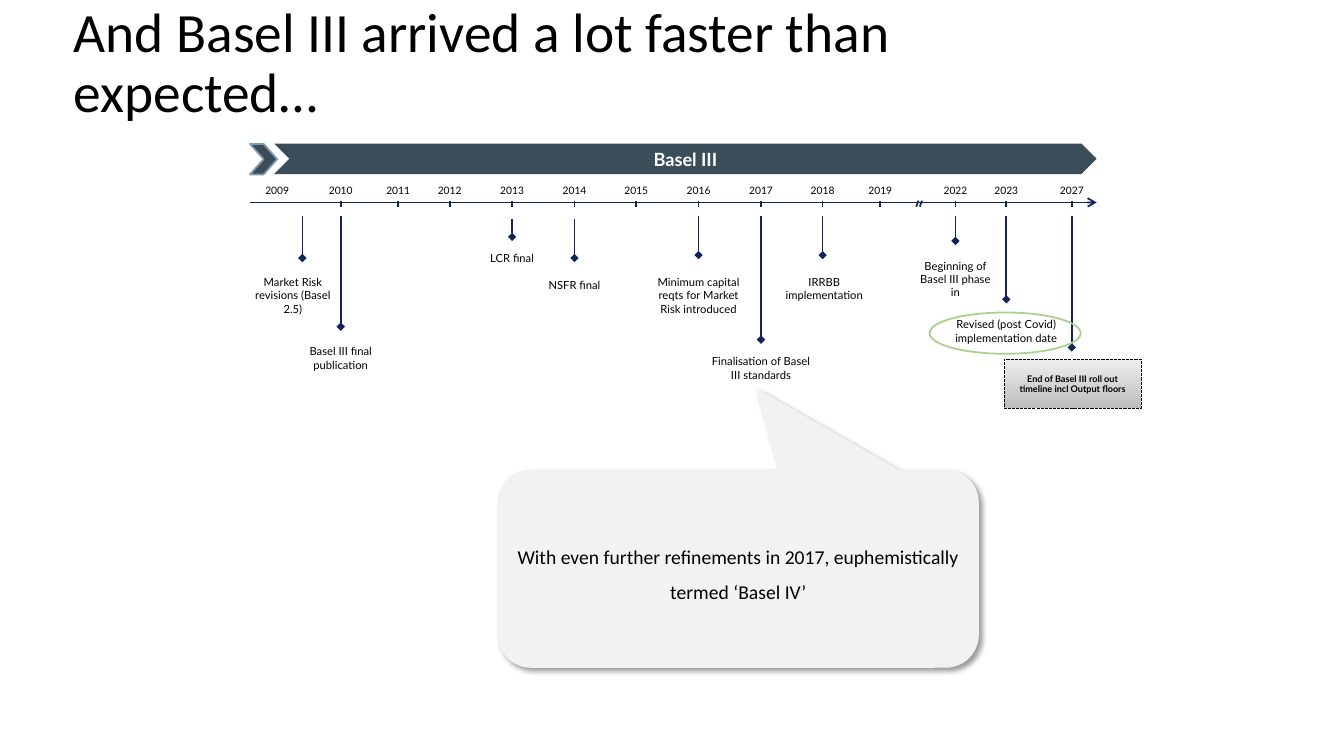
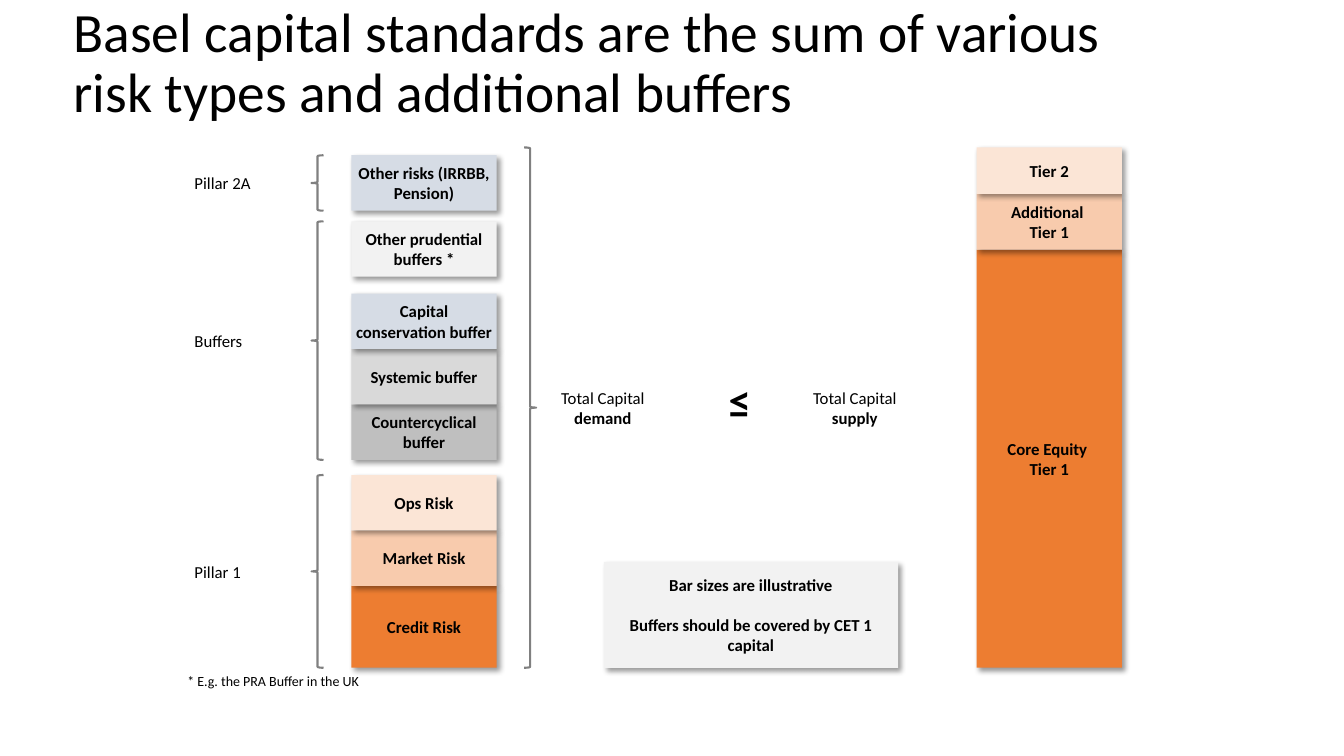
from dataclasses import dataclass
from typing import Optional, Sequence

from lxml import etree
from pptx import Presentation
from pptx.dml.color import RGBColor
from pptx.enum.dml import MSO_LINE
from pptx.enum.shapes import MSO_CONNECTOR, MSO_SHAPE
from pptx.enum.text import MSO_ANCHOR, MSO_AUTO_SIZE, PP_ALIGN
from pptx.oxml.ns import qn
from pptx.util import Pt

LEFT, CENTER = PP_ALIGN.LEFT, PP_ALIGN.CENTER
TOP, MIDDLE = MSO_ANCHOR.TOP, MSO_ANCHOR.MIDDLE
NO_AUTOFIT = MSO_AUTO_SIZE.NONE
STRAIGHT = MSO_CONNECTOR.STRAIGHT
DASH = MSO_LINE.SQUARE_DOT
RECTANGLE, CHEVRON, ELLIPSE = MSO_SHAPE.RECTANGLE, MSO_SHAPE.CHEVRON, MSO_SHAPE.OVAL
LEFT_BRACE, RIGHT_BRACE = MSO_SHAPE.LEFT_BRACE, MSO_SHAPE.RIGHT_BRACE
CALLOUT = MSO_SHAPE.ROUNDED_RECTANGULAR_CALLOUT

BLACK, WHITE, NAVY, SLATE = "000000", "FFFFFF", "13245A", "3B4D59"
STEEL, GREEN, GRAY = "7E99AA", "A9D18E", "808080"
PALE_GRAY, LIGHT_GRAY, MID_GRAY = "F2F2F2", "D9D9D9", "BFBFBF"
PALE_BLUE, ORANGE, PEACH, CREAM = "D6DCE5", "ED7D31", "F8CBAD", "FBE5D6"
BODY_FONT, LABEL_FONT = "Calibri", "Lato"

AXIS_Y = 144.6
YEAR_WIDTH = 39
ROW = 39.6
BLOCK_WIDTH = 103.8
FLOOR = 477
CEILING = 105.3


@dataclass(frozen=True)
class Area:
    left: float
    top: float
    width: float
    height: float


@dataclass(frozen=True)
class Span:
    text: str
    bold: bool = False


@dataclass(frozen=True)
class Style:
    size: float
    font: str = BODY_FONT
    color: str = BLACK
    align: PP_ALIGN = CENTER
    anchor: MSO_ANCHOR = MIDDLE
    margin_x: float = 7.2
    line_spacing: Optional[float] = None
    para_gap: float = 0


@dataclass(frozen=True)
class Event:
    text: str
    x: float
    stem_top: float
    stem_end: float
    label_top: float
    label_width: float
    label_shift: float = 0


@dataclass(frozen=True)
class Block:
    lines: tuple[str, ...]
    height: float
    fill: str
    gap_below: float = 0


@dataclass(frozen=True)
class Stack:
    name: str
    bottom: float
    blocks: tuple[Block, ...]


TITLE_AREA = Area(45.4, 12.2, 752.4, 67.7)
TITLE_STYLE = Style(39.6, align=LEFT, line_spacing=0.9)
YEAR_STYLE = Style(7.3, LABEL_FONT, anchor=TOP)
EVENT_STYLE = Style(8, LABEL_FONT, anchor=TOP, margin_x=2.9)
BANNER_STYLE = Style(13, LABEL_FONT, WHITE)
FINAL_STYLE = Style(6.5, LABEL_FONT)
CALLOUT_STYLE = Style(14, line_spacing=1.5)
BLOCK_STYLE = Style(12, margin_x=2.9)
NOTE_STYLE = Style(12, margin_x=2.9, para_gap=14.6)
TOTAL_STYLE = Style(12)
SIDE_STYLE = Style(12, align=LEFT)
SIGN_STYLE = Style(32, anchor=TOP)
FOOTNOTE_STYLE = Style(10, align=LEFT, anchor=TOP)

YEARS = {
    "2009": 198, "2010": 243.4, "2011": 284.4, "2012": 321.2, "2013": 365.8,
    "2014": 410.4, "2015": 454.5, "2016": 499, "2017": 543.6, "2018": 587.6,
    "2019": 628.8, "2022": 682.5, "2023": 718.8, "2027": 765.6,
}
EVENTS = [
    Event("Market Risk revisions (Basel 2.5)", 216, 154.3, 184.3, 193, 65.5, -6.8),
    Event("Basel III final publication", YEARS["2010"], 154.3, 233.3, 242.6, 69),
    Event("LCR final", YEARS["2013"], 156.2, 169.2, 175.7, 78.5),
    Event("NSFR final", YEARS["2014"], 156.2, 184.3, 195.1, 78.5),
    Event("Minimum capital reqts for Market Risk introduced",
          YEARS["2016"], 154.3, 182.2, 193, 78.5),
    Event("Finalisation of Basel III standards", YEARS["2017"], 154.3, 242.6, 249.8, 78.5),
    Event("IRRBB implementation", YEARS["2018"], 154.3, 182.2, 193, 85, 1.2),
    Event("Beginning of Basel III phase in", YEARS["2022"], 154.3, 172.1, 181.4, 64),
    Event("Revised (post Covid) implementation date", YEARS["2023"], 154.3, 213.8, 223.2, 85),
]
STACKS = [
    Stack("Pillar 1", FLOOR, (
        Block(("Credit Risk",), 58.5, ORANGE),
        Block(("Market Risk",), ROW, PEACH),
        Block(("Ops Risk",), ROW, CREAM),
    )),
    Stack("Buffers", 328.5, (
        Block(("Countercyclical buffer",), ROW, MID_GRAY),
        Block(("Systemic buffer",), ROW, LIGHT_GRAY),
        Block(("Capital conservation buffer",), ROW, PALE_BLUE),
        Block(("Other prudential buffers *",), ROW, PALE_GRAY, 12),
    )),
    Stack("Pillar 2A", 150.5, (
        Block(("Other risks (IRRBB, Pension)",), ROW, PALE_BLUE),
    )),
]
SUPPLY = Stack("Supply", FLOOR, (
    Block(("Core Equity ", "Tier 1"), 298.6, ORANGE),
    Block(("Additional ", "Tier 1"), 39.9, PEACH),
    Block(("Tier 2",), 33.2, CREAM),
))


def color(value: str) -> RGBColor:
    return RGBColor.from_string(value)


def points(area: Area) -> tuple:
    return Pt(area.left), Pt(area.top), Pt(area.width), Pt(area.height)


def write(shape, paras: Sequence[Sequence[Span]], style: Style) -> None:
    frame = shape.text_frame
    frame.word_wrap = True
    frame.auto_size = NO_AUTOFIT
    frame.vertical_anchor = style.anchor
    frame.margin_left = frame.margin_right = Pt(style.margin_x)
    frame.margin_top = frame.margin_bottom = Pt(3.6)
    for index, spans in enumerate(paras):
        para = frame.add_paragraph() if index else frame.paragraphs[0]
        para.alignment = style.align
        if style.line_spacing:
            para.line_spacing = style.line_spacing
        if index and style.para_gap:
            para.space_before = Pt(style.para_gap)
        for span in spans:
            run = para.add_run()
            run.text = span.text
            run.font.name = style.font
            run.font.size = Pt(style.size)
            run.font.bold = span.bold
            run.font.color.rgb = color(style.color)


def add_label(page, area: Area, spans: Sequence[Span], style: Style) -> None:
    write(page.shapes.add_textbox(*points(area)), [spans], style)


def add_box(page, kind, area: Area, fill: Optional[str] = None,
            line: Optional[str] = None, width: float = 1.25):
    box = page.shapes.add_shape(kind, *points(area))
    box.shadow.inherit = False
    if fill:
        box.fill.solid()
        box.fill.fore_color.rgb = color(fill)
    else:
        box.fill.background()
    if line:
        box.line.color.rgb = color(line)
        box.line.width = Pt(width)
    else:
        box.line.fill.background()
    return box


def add_shadow(box) -> None:
    effects = box._element.spPr.find(qn("a:effectLst"))
    shadow = etree.SubElement(effects, qn("a:outerShdw"), blurRad=str(Pt(4)),
                              dist=str(Pt(3)), dir="2700000", algn="tl", rotWithShape="0")
    tint = etree.SubElement(shadow, qn("a:srgbClr"), val=BLACK)
    etree.SubElement(tint, qn("a:alpha"), val="40000")


def add_line(page, x1: float, y1: float, x2: float, y2: float,
             head: Optional[str] = None) -> None:
    line = page.shapes.add_connector(STRAIGHT, Pt(x1), Pt(y1), Pt(x2), Pt(y2))
    line.line.color.rgb = color(NAVY)
    line.line.width = Pt(1.25)
    if head:
        etree.SubElement(line.line._get_or_add_ln(), qn("a:tailEnd"), type=head)
    etree.SubElement(line._element.spPr, qn("a:effectLst"))


def add_page(deck, title: str):
    page = deck.slides.add_slide(deck.slide_layouts[5])
    box = page.shapes.title
    box.left, box.top, box.width, box.height = points(TITLE_AREA)
    write(box, [[Span(title)]], TITLE_STYLE)
    return page


def add_event(page, event: Event) -> None:
    add_line(page, event.x, event.stem_top, event.x, event.stem_end, "diamond")
    left = event.x + event.label_shift - event.label_width / 2
    add_label(page, Area(left, event.label_top, event.label_width, 28),
              [Span(event.text)], EVENT_STYLE)


def add_stack(page, stack: Stack, left: float) -> float:
    top = stack.bottom
    for block in stack.blocks:
        top -= block.gap_below + block.height
        box = add_box(page, RECTANGLE, Area(left, top, BLOCK_WIDTH, block.height), block.fill)
        add_shadow(box)
        write(box, [[Span(line, True)] for line in block.lines], BLOCK_STYLE)
    return top


def build_timeline(deck) -> None:
    page = add_page(deck, "And Basel III arrived a lot faster than expected…")
    add_line(page, 178.6, AXIS_Y, 783.4, AXIS_Y, "arrow")
    for year, x in YEARS.items():
        add_label(page, Area(x - YEAR_WIDTH / 2, 128.2, YEAR_WIDTH, 26),
                  [Span(year)], YEAR_STYLE)
        if year != "2009":
            add_line(page, x, AXIS_Y - 0.8, x, AXIS_Y + 3.6)
    for x in (654.5, 657):
        add_line(page, x + 1.6, 143.3, x, 147.6)

    banner = add_box(page, CHEVRON, Area(195.8, 102.5, 587.6, 21.8), SLATE)
    write(banner, [[Span("Basel III", True)]], BANNER_STYLE)
    add_box(page, CHEVRON, Area(178.6, 102.8, 19.4, 21.8), SLATE, STEEL)

    final = add_box(page, RECTANGLE, Area(717.2, 256.8, 98, 34.8), line=BLACK, width=0.75)
    final.line.dash_style = DASH
    final.fill.gradient()
    final.fill.gradient_angle = 90
    for stop, shade in zip(final.fill.gradient_stops, ("BDBDBD", "EEEEEE")):
        stop.color.rgb = color(shade)
    write(final, [[Span("End of Basel III roll out timeline incl Output floors", True)]],
          FINAL_STYLE)
    add_line(page, YEARS["2027"], 154.3, YEARS["2027"], 248.2, "diamond")

    for event in EVENTS:
        add_event(page, event)
    add_box(page, ELLIPSE, Area(664, 223.2, 108, 29.5), line=GREEN)

    callout = add_box(page, CALLOUT, Area(355.6, 335.4, 343.6, 141.6), PALE_GRAY)
    for index, value in enumerate((0.036, -0.913, 0.167)):
        callout.adjustments[index] = value
    add_shadow(callout)
    write(callout, [[Span("With even further refinements in 2017, euphemistically "
                          "termed ‘Basel IV’")]], CALLOUT_STYLE)


def build_capital(deck) -> None:
    page = add_page(deck, "Basel capital standards are the sum of various risk types "
                          "and additional buffers")
    for stack in STACKS:
        top = add_stack(page, stack, 251)
        height = stack.bottom - top
        add_box(page, LEFT_BRACE, Area(222.5, top, 8.6, height), line=GRAY, width=1.5)
        add_label(page, Area(131.8, top, 85, height), [Span(stack.name)], SIDE_STYLE)
    add_box(page, RIGHT_BRACE, Area(374.4, CEILING, 8.6, FLOOR - CEILING),
            line=GRAY, width=1.5)
    for left, side in ((388.1, "demand"), (568.1, "supply")):
        add_label(page, Area(left, 271.4, 85, ROW),
                  [Span("Total Capital "), Span(side, True)], TOTAL_STYLE)
    add_label(page, Area(486, 263.5, 85, ROW), [Span("≤", True)], SIGN_STYLE)
    add_stack(page, SUPPLY, 697.6)
    add_label(page, Area(126.7, 476.8, 707, 17.4),
              [Span("* E.g. the PRA Buffer in the UK")], FOOTNOTE_STYLE)
    note = add_box(page, RECTANGLE, Area(431.3, 401.4, 210.2, 75.6), PALE_GRAY)
    add_shadow(note)
    write(note, [[Span("Bar sizes are illustrative", True)],
                 [Span("Buffers should be covered by CET 1 capital", True)]], NOTE_STYLE)


def main() -> None:
    deck = Presentation()
    deck.slide_width, deck.slide_height = Pt(960), Pt(540)
    build_timeline(deck)
    build_capital(deck)
    deck.save("out.pptx")


if __name__ == "__main__":
    main()
